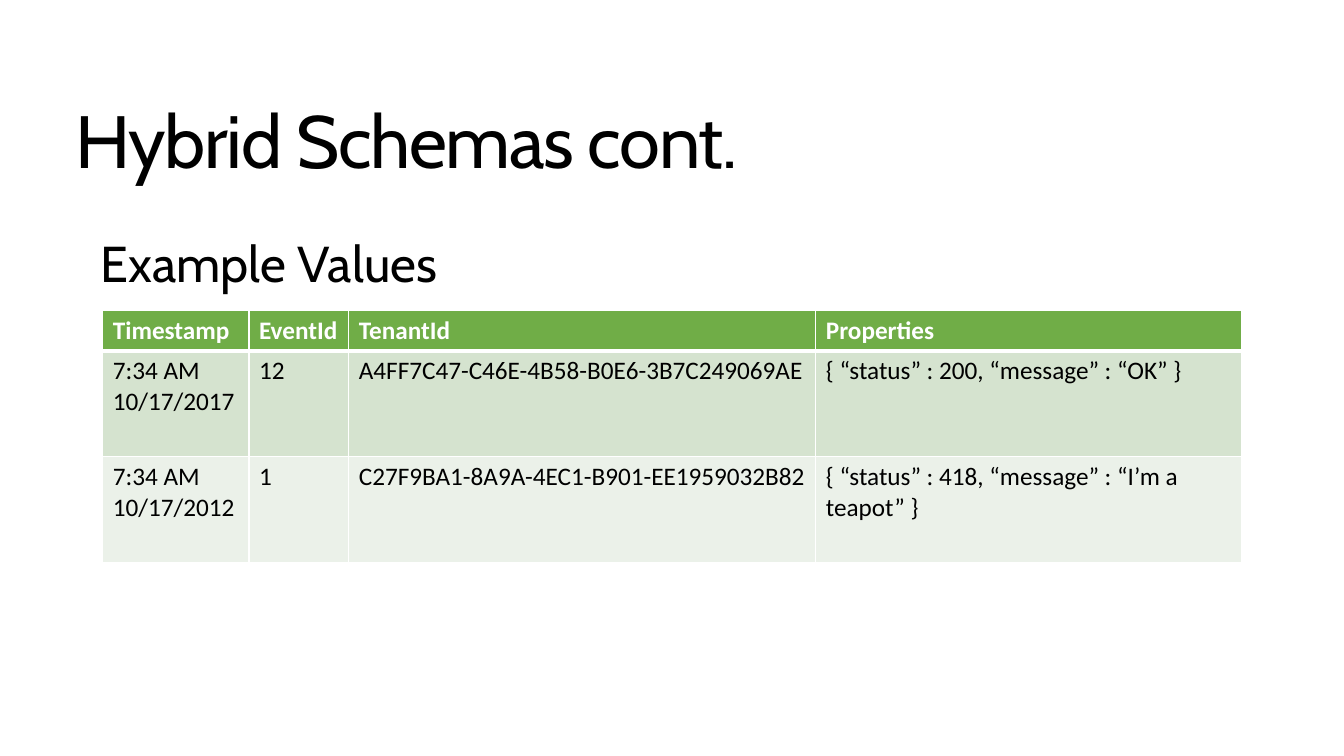
from pptx import Presentation
from pptx.dml.color import RGBColor
from pptx.enum.text import MSO_ANCHOR
from pptx.oxml import parse_xml
from pptx.util import Inches, Pt

TOP, MIDDLE = MSO_ANCHOR.TOP, MSO_ANCHOR.MIDDLE
NS = "http://schemas.openxmlformats.org/drawingml/2006/main"
WIDE, HIGH = Inches(13.33), Inches(7.5)
COL, ROW = WIDE / 100, HIGH / 100
BLACK, WHITE = "000000", "FFFFFF"


def paint(item, tone):
    item.fill.solid()
    item.fill.fore_color.rgb = RGBColor.from_string(tone)


def write(frame, text, font="Calibri", size=18, tone=BLACK, bold=False, lead=1.0, track=0):
    frame.word_wrap = True
    para = frame.paragraphs[0]
    para.line_spacing = lead
    run = para.add_run()
    run.text = text
    run.font.name, run.font.size, run.font.bold = font, Pt(size), bold
    paint(run.font, tone)
    if track:
        run.font._element.set("spc", str(track * 100))
    return para


deck = Presentation()
deck.slide_width, deck.slide_height = WIDE, HIGH
slide = deck.slides.add_slide(deck.slide_layouts[6])

heads = [
    ("Hybrid Schemas cont.", 9.33, 61.29, 19.6, MIDDLE, 52.9, -1, 0),
    ("Example Values", 30.93, 92.42, 10.13, TOP, 36, 0, 0.25),
]
for text, top, width, height, anchor, size, track, indent in heads:
    box = slide.shapes.add_textbox(
        int(4.88 * COL), int(top * ROW), int(width * COL), int(height * ROW))
    frame = box.text_frame
    frame.vertical_anchor = anchor
    para = write(frame, text, font="Cabin", size=size, lead=0.9, track=track)
    if indent:
        para._p.get_or_add_pPr().set("marL", str(Inches(indent)))

events = [
    ("Timestamp", "EventId", "TenantId", "Properties"),
    ("7:34 AM 10/17/2017", "12", "A4FF7C47-C46E-4B58-B0E6-3B7C249069AE",
     "{ “status” : 200, “message” : “OK” }"),
    ("7:34 AM 10/17/2012", "1", "C27F9BA1-8A9A-4EC1-B901-EE1959032B82",
     "{ “status” : 418, “message” : “I’m a teapot” }"),
]
widths = [10.88, 7.43, 34.75, 31.66]
heights = [5.07, 14, 14]
fills = ["70AD47", "D5E3CF", "EBF1E9"]

table = slide.shapes.add_table(
    len(events), len(widths), int(7.65 * COL), int(41.07 * ROW),
    int(sum(widths) * COL), int(sum(heights) * ROW)).table
for column, width in zip(table.columns, widths):
    column.width = int(width * COL)

for r, event in enumerate(events):
    table.rows[r].height = int(heights[r] * ROW)
    head = r == 0
    for c, text in enumerate(event):
        cell = table.cell(r, c)
        write(cell.text_frame, text, tone=WHITE if head else BLACK, bold=head)
        edges = cell._tc.get_or_add_tcPr()
        for side in "LRTB":
            thick = 3 if (r, side) in ((0, "B"), (1, "T")) else 1
            edges.append(parse_xml(
                f'<a:ln{side} xmlns:a="{NS}" w="{Pt(thick)}"><a:solidFill>'
                f'<a:srgbClr val="{WHITE}"/></a:solidFill></a:ln{side}>'))
        paint(cell, fills[r])

deck.save("out.pptx")
